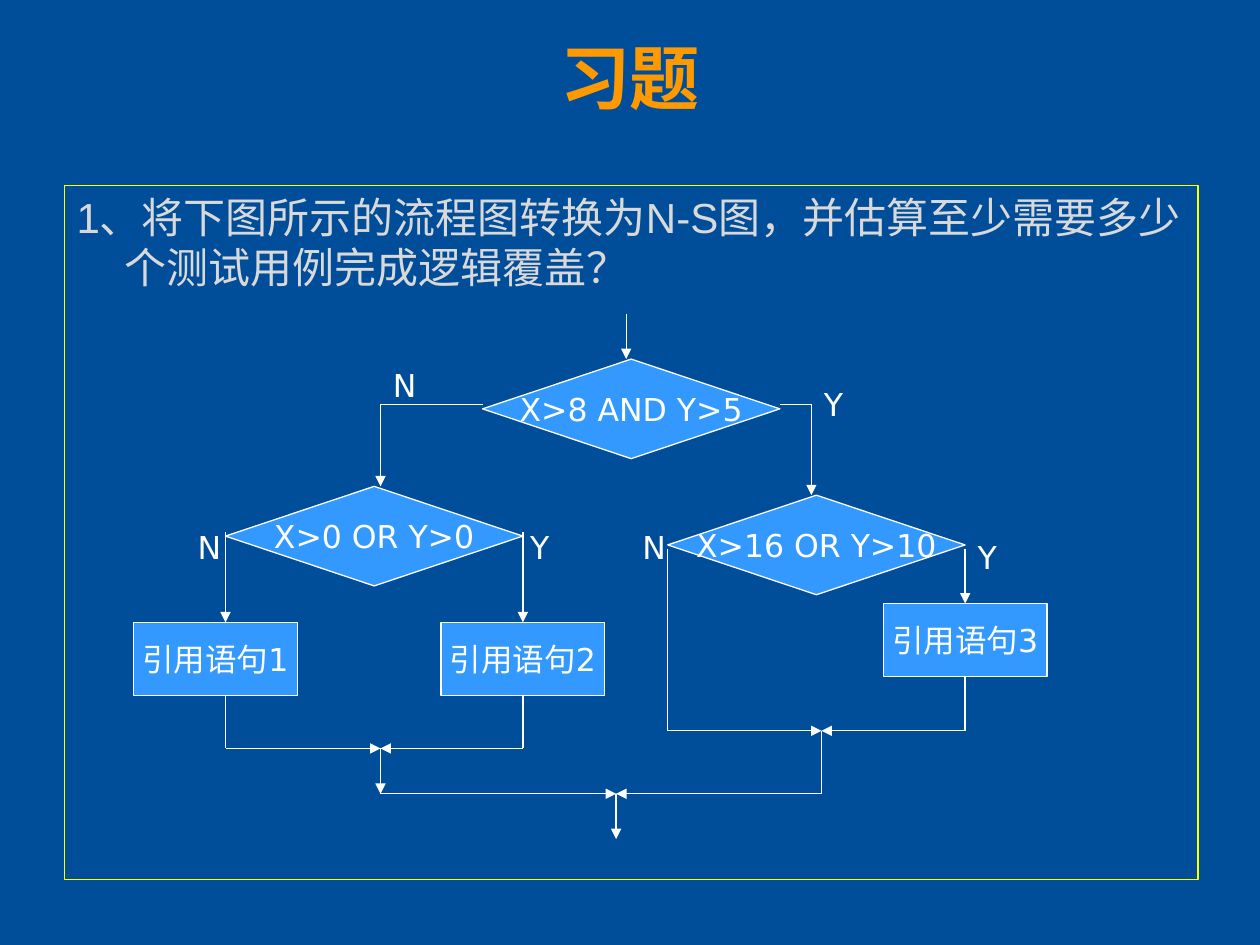
from dataclasses import dataclass
from itertools import pairwise
from typing import Optional

import pptx
import pptx.dml.color
import pptx.enum.shapes
import pptx.enum.text
import pptx.oxml.ns
import pptx.util
from lxml import etree

COLORS = {
    "background": "004D99",
    "title": "FF9900",
    "question": "D9D9D9",
    "frame": "FFFF00",
    "node": "3399FF",
    "white": "FFFFFF",
}
WIDTH, HEIGHT = pptx.util.Inches(10), pptx.util.Inches(7.5)
COLUMNS, ROWS = 100, 75
LINE_WIDTH = pptx.util.Pt(0.75)
SHAPES = pptx.enum.shapes.MSO_SHAPE
ALIGN = pptx.enum.text.PP_ALIGN
ANCHOR = pptx.enum.text.MSO_ANCHOR
FIT = pptx.enum.text.MSO_AUTO_SIZE
TOP, BOTTOM = 0, 2


@dataclass(frozen=True)
class Node:
    """A flowchart box, placed by its left column and top row."""
    text: str
    left: float
    top: float
    width: float
    height: float
    preset: int

    @property
    def right(self) -> float:
        return self.left + self.width

    @property
    def bottom(self) -> float:
        return self.top + self.height

    @property
    def middle(self) -> float:
        return self.left + self.width / 2


@dataclass(frozen=True)
class Flow:
    """A path of straight lines whose last one carries the arrowhead."""
    points: list[tuple[float, float]]
    source: Optional[Node] = None
    target: Optional[Node] = None


@dataclass(frozen=True)
class Branch:
    answer: str
    left: float
    top: float


def decision(text: str, left: float, top: float) -> Node:
    return Node(text, left, top, 23.6, 7.9, SHAPES.FLOWCHART_DECISION)


def statement(text: str, left: float, top: float) -> Node:
    return Node(text, left, top, 13, 5.8, SHAPES.RECTANGLE)


both = decision("X>8 AND Y>5", 38.3, 28.5)
either_zero = decision("X>0 OR Y>0", 17.9, 38.6)
either_large = decision("X>16 OR Y>10", 53, 39.3)
first = statement("引用语句1", 10.6, 49.4)
second = statement("引用语句2", 35, 49.4)
third = statement("引用语句3", 70.1, 47.9)
NODES = [both, either_zero, either_large, first, second, third]

LEFT_MERGE = (30.2, 59.4)
RIGHT_MERGE = (65.2, 58)
FINAL_MERGE = (48.9, 63)
LEFT_TURN = (LEFT_MERGE[0], FINAL_MERGE[1])
SPLIT_ROW, LEFT_ROW, RIGHT_ROW = 32.1, 42.2, 43.6
RIGHT_ENTRY = 64.4

FLOWS = [
    Flow([(49.7, 24.9), (49.7, both.top)]),
    Flow([(both.left, SPLIT_ROW), (LEFT_MERGE[0], SPLIT_ROW),
          (LEFT_MERGE[0], either_zero.top)]),
    Flow([(both.right, SPLIT_ROW), (RIGHT_ENTRY, SPLIT_ROW),
          (RIGHT_ENTRY, either_large.top)]),
    Flow([(either_zero.left, LEFT_ROW), (either_zero.left, first.top)]),
    Flow([(second.middle, LEFT_ROW), (second.middle, second.top)], target=second),
    Flow([(third.middle, RIGHT_ROW), (third.middle, third.top)], target=third),
    Flow([(either_zero.left, first.bottom), (either_zero.left, LEFT_MERGE[1]),
          LEFT_MERGE]),
    Flow([(second.middle, second.bottom), (second.middle, LEFT_MERGE[1]),
          LEFT_MERGE], source=second),
    Flow([(either_large.left, RIGHT_ROW), (either_large.left, RIGHT_MERGE[1]),
          RIGHT_MERGE]),
    Flow([(third.middle, third.bottom), (third.middle, RIGHT_MERGE[1]),
          RIGHT_MERGE], source=third),
    Flow([LEFT_MERGE, LEFT_TURN]),
    Flow([LEFT_TURN, FINAL_MERGE]),
    Flow([RIGHT_MERGE, (RIGHT_MERGE[0], FINAL_MERGE[1]), FINAL_MERGE]),
    Flow([FINAL_MERGE, (FINAL_MERGE[0], 66.6)]),
]
BRANCHES = [
    Branch("N", 30.2, 28.6), Branch("Y", 64.4, 30.1),
    Branch("N", 14.7, 41.4), Branch("Y", 41.1, 41.4),
    Branch("N", 50, 41.4), Branch("Y", 76.6, 42.2),
]


def x(column: float) -> int:
    return round(WIDTH * column / COLUMNS)


def y(row: float) -> int:
    return round(HEIGHT * row / ROWS)


def rgb(name: str) -> pptx.dml.color.RGBColor:
    return pptx.dml.color.RGBColor.from_string(COLORS[name])


def write(frame, text: str, *, size: float = 18, font: str = "DejaVu Sans",
          color: str = "white", bold: bool = False, align=ALIGN.LEFT,
          anchor=ANCHOR.TOP, wrap: bool = False, fit=FIT.NONE,
          spacing: Optional[float] = None, hanging: float = 0) -> None:
    frame.word_wrap = wrap
    frame.auto_size = fit
    frame.vertical_anchor = anchor
    paragraph = frame.paragraphs[0]
    paragraph.alignment = align
    paragraph.line_spacing = spacing
    if hanging:
        properties = paragraph._p.get_or_add_pPr()
        properties.set("marL", str(x(hanging)))
        properties.set("indent", str(-x(hanging)))
    run = paragraph.add_run()
    run.text = text
    run.font.size = pptx.util.Pt(size)
    run.font.name = font
    run.font.bold = bold
    run.font.color.rgb = rgb(color)
    east_asian = etree.SubElement(run.font._element, pptx.oxml.ns.qn("a:ea"))
    east_asian.set("typeface", font)


def draw_node(slide, node: Node):
    box = slide.shapes.add_shape(node.preset, x(node.left), y(node.top),
                                 x(node.width), y(node.height))
    box.shadow.inherit = False
    box.fill.solid()
    box.fill.fore_color.rgb = rgb("node")
    box.line.color.rgb = rgb("white")
    box.line.width = LINE_WIDTH
    write(box.text_frame, node.text, align=ALIGN.CENTER, anchor=ANCHOR.MIDDLE)
    return box


def draw_flow(slide, flow: Flow, boxes: dict) -> None:
    lines = []
    for start, end in pairwise(flow.points):
        line = slide.shapes.add_connector(
            pptx.enum.shapes.MSO_CONNECTOR.STRAIGHT,
            x(start[0]), y(start[1]), x(end[0]), y(end[1]))
        line.line.color.rgb = rgb("white")
        line.line.width = LINE_WIDTH
        etree.SubElement(line._element.spPr, pptx.oxml.ns.qn("a:effectLst"))
        lines.append(line)
    arrow = etree.SubElement(lines[-1].line._get_or_add_ln(), pptx.oxml.ns.qn("a:tailEnd"))
    arrow.set("type", "triangle")
    if flow.source:
        lines[0].begin_connect(boxes[flow.source], BOTTOM)
    if flow.target:
        lines[-1].end_connect(boxes[flow.target], TOP)


def main() -> None:
    deck = pptx.Presentation()
    deck.slide_width, deck.slide_height = WIDTH, HEIGHT
    slide = deck.slides.add_slide(deck.slide_layouts[5])
    slide.background.fill.solid()
    slide.background.fill.fore_color.rgb = rgb("background")

    title = slide.shapes.title
    title.left, title.top, title.width, title.height = x(2.5), y(3.3), x(95), y(7.5)
    write(title.text_frame, "习题", size=40, font="Arial", color="title", bold=True,
          align=ALIGN.CENTER, wrap=True, spacing=0.85)

    question = slide.shapes.add_textbox(x(5.1), y(14.7), x(90), y(55.1))
    question.line.color.rgb = rgb("frame")
    question.line.width = LINE_WIDTH
    write(question.text_frame,
          "1、将下图所示的流程图转换为N-S图，并估算至少需要多少个测试用例完成逻辑覆盖？",
          size=24, font="Arial", color="question", wrap=True, hanging=3.8)

    boxes = {node: draw_node(slide, node) for node in NODES}
    for flow in FLOWS:
        draw_flow(slide, flow, boxes)
    for branch in BRANCHES:
        label = slide.shapes.add_textbox(x(branch.left), y(branch.top), x(3.9), y(4))
        write(label.text_frame, branch.answer, fit=FIT.SHAPE_TO_FIT_TEXT)
    deck.save("out.pptx")


if __name__ == "__main__":
    main()
